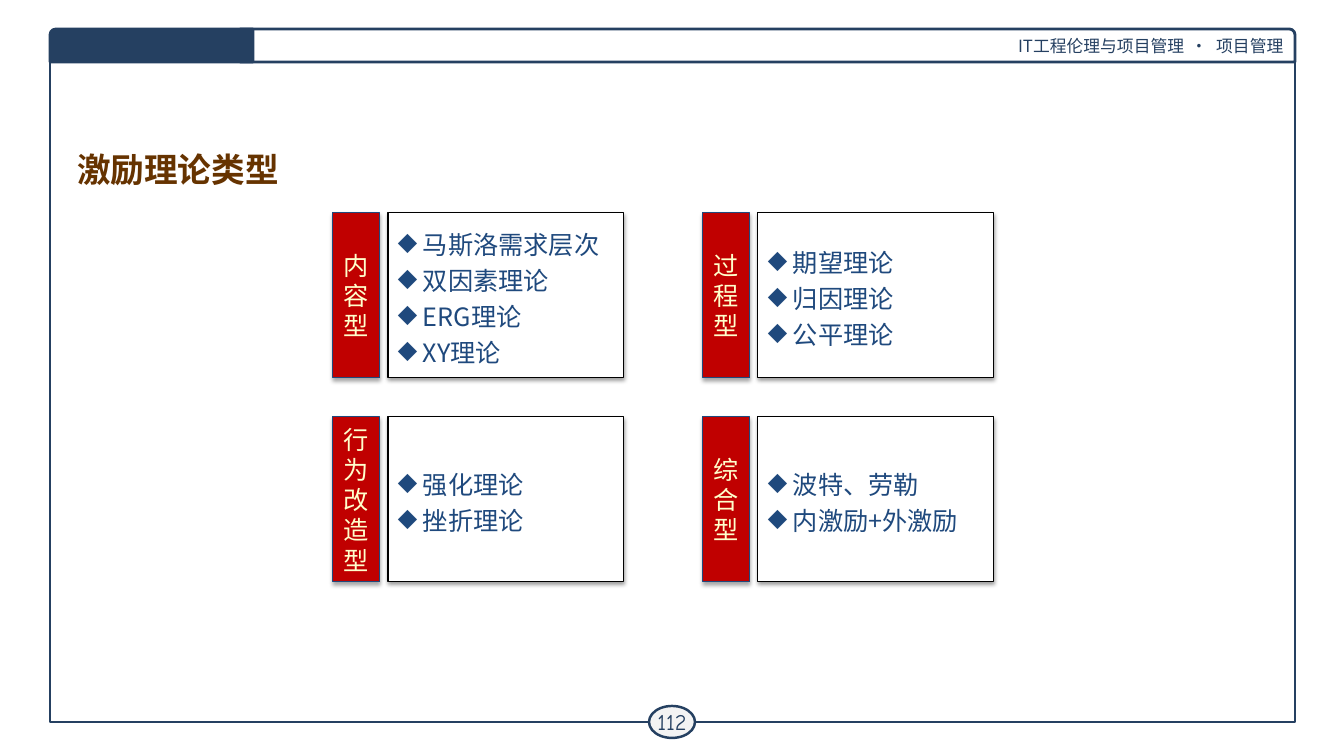
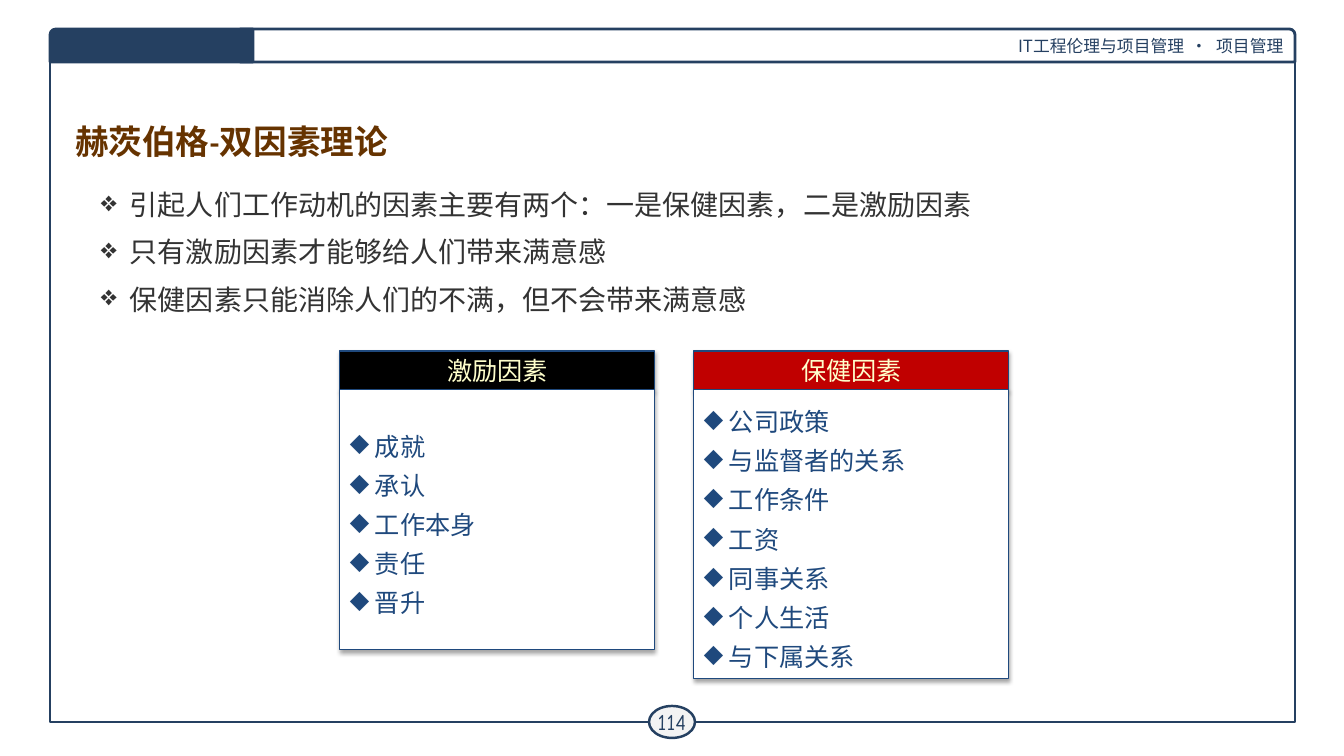
from dataclasses import dataclass
from typing import NamedTuple

from lxml.etree import SubElement
from pptx import Presentation
from pptx.dml.color import RGBColor
from pptx.enum.shapes import MSO_SHAPE as Preset
from pptx.enum.text import MSO_ANCHOR as Anchor, MSO_AUTO_SIZE as AutoSize, PP_ALIGN as Align
from pptx.oxml.ns import qn
from pptx.util import Pt

SLIDE_WIDTH, SLIDE_HEIGHT = 1344, 756
EMU_PER_PX = 12192000 / SLIDE_WIDTH


class Box(NamedTuple):
    """Hold a rectangle in px."""
    left: int
    top: int
    width: int
    height: int


class Shadow(NamedTuple):
    """Hold the opacity in percent and the distance in points of a shadow."""
    opacity: int
    distance: float


@dataclass(frozen=True)
class Theme:
    """Keep the colours, fonts and type sizes of the deck."""
    navy: str = "254061"
    blue: str = "1F497D"
    red: str = "C00000"
    black: str = "000000"
    white: str = "FFFFFF"
    badge: str = "F3F3F3"
    cream: str = "FFFFCC"
    brown: str = "663300"
    body: str = "333333"
    sans: str = "Noto Sans CJK SC"
    serif: str = "Cambria"
    number_font: str = "Comic Neue"
    header_size: int = 12
    number_size: int = 16
    text_size: int = 18
    body_size: int = 20
    title_size: int = 24
    label_leading: float = 21.6
    card_leading: float = 25.9
    factor_leading: float = 28
    body_leading: float = 24
    thin_line: float = 0.75
    badge_line: float = 1.75
    frame_line: float = 2
    soft_shadow: Shadow = Shadow(35, 1.8)
    card_shadow: Shadow = Shadow(38, 1.6)


THEME = Theme()
HEADER_PARTS = ("IT工程伦理与项目管理", " · ", "项目管理")

THEORY_GROUPS = (
    ("内容型", ("马斯洛需求层次", "双因素理论", "ERG理论", "XY理论")),
    ("过程型", ("期望理论", "归因理论", "公平理论")),
    ("行为改造型", ("强化理论", "挫折理论")),
    ("综合型", ("波特、劳勒", "内激励+外激励")),
)

FACTOR_POINTS = (
    "引起人们工作动机的因素主要有两个：一是保健因素，二是激励因素",
    "只有激励因素才能够给人们带来满意感",
    "保健因素只能消除人们的不满，但不会带来满意感",
)

FACTOR_PANELS = (
    ("激励因素", THEME.black, 299, ("成就", "承认", "工作本身", "责任", "晋升")),
    ("保健因素", THEME.red, 328,
     ("公司政策", "与监督者的关系", "工作条件", "工资", "同事关系", "个人生活", "与下属关系")),
)


def px(length):
    """Turn px into EMU."""
    return round(length * EMU_PER_PX)


def emu(box):
    """Turn a box into the four EMU lengths of a shape."""
    return [px(length) for length in box]


def style_runs(paragraph, size, color, font=THEME.sans, bold=False):
    """Format every run of a paragraph."""
    for run in paragraph.runs:
        run.font.size = Pt(size)
        run.font.bold = bold
        run.font.name = font
        run.font.color.rgb = RGBColor.from_string(color)
        SubElement(run.font._element, qn("a:ea"), typeface=THEME.sans)


def set_bullet(paragraph, symbol, indent):
    """Give a paragraph a bullet with a hanging indent in px."""
    properties = paragraph._p.get_or_add_pPr()
    properties.set("marL", str(px(indent)))
    properties.set("indent", str(-px(indent)))
    SubElement(properties, qn("a:buChar"), char=symbol)


def add_shadow(shape, shadow):
    """Drop a soft shadow below a shape."""
    effects = shape.element.spPr.find(qn("a:effectLst"))
    outer = SubElement(effects, qn("a:outerShdw"), blurRad=str(Pt(3.1)),
                       dist=str(Pt(shadow.distance)), dir="5400000", rotWithShape="0")
    color = SubElement(outer, qn("a:srgbClr"), val=THEME.black)
    SubElement(color, qn("a:alpha"), val=str(shadow.opacity * 1000))


def add_panel(slide, box, fill, line, weight=THEME.thin_line, preset=Preset.RECTANGLE, shadow=None):
    """Add a filled or hollow outlined shape."""
    shape = slide.shapes.add_shape(preset, *emu(box))
    shape.shadow.inherit = False
    if fill:
        shape.fill.solid()
        shape.fill.fore_color.rgb = RGBColor.from_string(fill)
    else:
        shape.fill.background()
    shape.line.color.rgb = RGBColor.from_string(line)
    shape.line.width = Pt(weight)
    if shadow:
        add_shadow(shape, shadow)
    shape.text_frame.word_wrap = True
    shape.text_frame.vertical_anchor = Anchor.MIDDLE
    return shape


def add_label(slide, box, text, fill):
    """Add a coloured label with centred text."""
    shape = add_panel(slide, box, fill, THEME.blue, shadow=THEME.soft_shadow)
    shape.text_frame.text = text
    paragraph = shape.text_frame.paragraphs[0]
    paragraph.alignment = Align.CENTER
    paragraph.line_spacing = Pt(THEME.label_leading)
    style_runs(paragraph, THEME.text_size, THEME.cream)


def add_list(slide, box, items, line, leading, shadow):
    """Add a white card holding a bulleted list."""
    shape = add_panel(slide, box, THEME.white, line, shadow=shadow)
    shape.text_frame.text = "\n".join(items)
    for paragraph in shape.text_frame.paragraphs:
        paragraph.alignment = Align.LEFT
        paragraph.line_spacing = Pt(leading)
        set_bullet(paragraph, "◆", 25)
        style_runs(paragraph, THEME.text_size, THEME.blue)


def add_header(slide, box):
    """Add the course band and its dark tab at the top of the frame."""
    band = add_panel(slide, Box(box.left + 190, box.top, box.width - 190, box.height),
                     THEME.white, THEME.navy, THEME.frame_line, Preset.ROUND_1_RECTANGLE)
    paragraph = band.text_frame.paragraphs[0]
    paragraph.alignment = Align.RIGHT
    for part in HEADER_PARTS:
        paragraph.add_run().text = part
    style_runs(paragraph, THEME.header_size, THEME.navy)
    paragraph.runs[1].font._element.set("spc", "180")
    tab = add_panel(slide, box._replace(width=203), THEME.navy, THEME.navy, THEME.frame_line,
                    Preset.ROUND_1_RECTANGLE)
    tab.adjustments[0] = 0.18
    tab.element.spPr.xfrm.set("flipH", "1")


def add_page_badge(slide, box, number):
    """Add the oval page number."""
    badge = add_panel(slide, box, THEME.badge, THEME.navy, THEME.badge_line, Preset.OVAL)
    frame = badge.text_frame
    frame.word_wrap = False
    frame.margin_left = frame.margin_right = frame.margin_top = frame.margin_bottom = px(4)
    frame.text = str(number)
    frame.paragraphs[0].alignment = Align.CENTER
    style_runs(frame.paragraphs[0], THEME.number_size, THEME.navy, THEME.number_font)


def add_title(slide, box, text):
    """Move and format the title placeholder."""
    title = slide.shapes.title
    title.left, title.top, title.width, title.height = emu(box)
    frame = title.text_frame
    frame.text = text
    frame.auto_size = AutoSize.NONE
    frame.vertical_anchor = Anchor.MIDDLE
    frame.paragraphs[0].alignment = Align.LEFT
    style_runs(frame.paragraphs[0], THEME.title_size, THEME.brown, THEME.serif, True)


def add_framed_slide(presentation, number, title, title_box):
    """Start a slide with the shared frame, header, page number and title."""
    slide = presentation.slides.add_slide(presentation.slide_layouts[5])
    frame = Box(50, 50, 1245, 672)
    add_panel(slide, frame, None, THEME.navy, THEME.frame_line)
    add_page_badge(slide, Box(frame.left + 599, frame.top + 656, 46, 32), number)
    add_header(slide, Box(frame.left, 29, frame.width, 33))
    add_title(slide, title_box, title)
    return slide


def add_theory_grid(slide, box, groups):
    """Place the theory groups in a grid of two columns."""
    label_width, card_offset, card_width, height = 47, 55, 236, 165
    column_pitch = box.width - card_offset - card_width
    row_pitch = box.height - height
    for index, (name, theories) in enumerate(groups):
        row, column = divmod(index, 2)
        left, top = box.left + column * column_pitch, box.top + row * row_pitch
        add_label(slide, Box(left, top, label_width, height), name, THEME.red)
        add_list(slide, Box(left + card_offset, top, card_width, height), theories,
                 THEME.black, THEME.card_leading, THEME.card_shadow)


def add_points(slide, box, points):
    """Add the introductory bullet points."""
    frame = slide.shapes.add_textbox(*emu(box)).text_frame
    frame.word_wrap = True
    frame.text = "\n".join(points)
    for index, paragraph in enumerate(frame.paragraphs):
        paragraph.line_spacing = Pt(THEME.body_leading)
        paragraph.space_before = Pt(7.2 if index else 0)
        paragraph.space_after = Pt(2.4)
        set_bullet(paragraph, "❖", 29)
        style_runs(paragraph, THEME.body_size, THEME.body, THEME.serif)


def add_factor_panel(slide, box, name, color, factors):
    """Add one factor list below its coloured heading."""
    heading = 39
    add_label(slide, box._replace(height=heading), name, color)
    card = box._replace(top=box.top + heading, height=box.height - heading)
    add_list(slide, card, factors, THEME.blue, THEME.factor_leading, THEME.soft_shadow)


def build_theory_slide(presentation):
    """Build the overview of motivation theories."""
    slide = add_framed_slide(presentation, 112, "激励理论类型", Box(67, 145, 1210, 48))
    add_theory_grid(slide, Box(333, 213, 661, 369), THEORY_GROUPS)


def build_factor_slide(presentation):
    """Build the two-factor theory slide."""
    slide = add_framed_slide(presentation, 114, "赫茨伯格-双因素理论", Box(65, 117, 1210, 48))
    add_points(slide, Box(91, 183, 899, 125), FACTOR_POINTS)
    for index, (name, color, height, factors) in enumerate(FACTOR_PANELS):
        add_factor_panel(slide, Box(340 + index * 354, 351, 315, height), name, color, factors)


def main():
    """Build and save the deck."""
    presentation = Presentation()
    presentation.slide_width, presentation.slide_height = px(SLIDE_WIDTH), px(SLIDE_HEIGHT)
    build_theory_slide(presentation)
    build_factor_slide(presentation)
    presentation.save("out.pptx")


if __name__ == "__main__":
    main()
